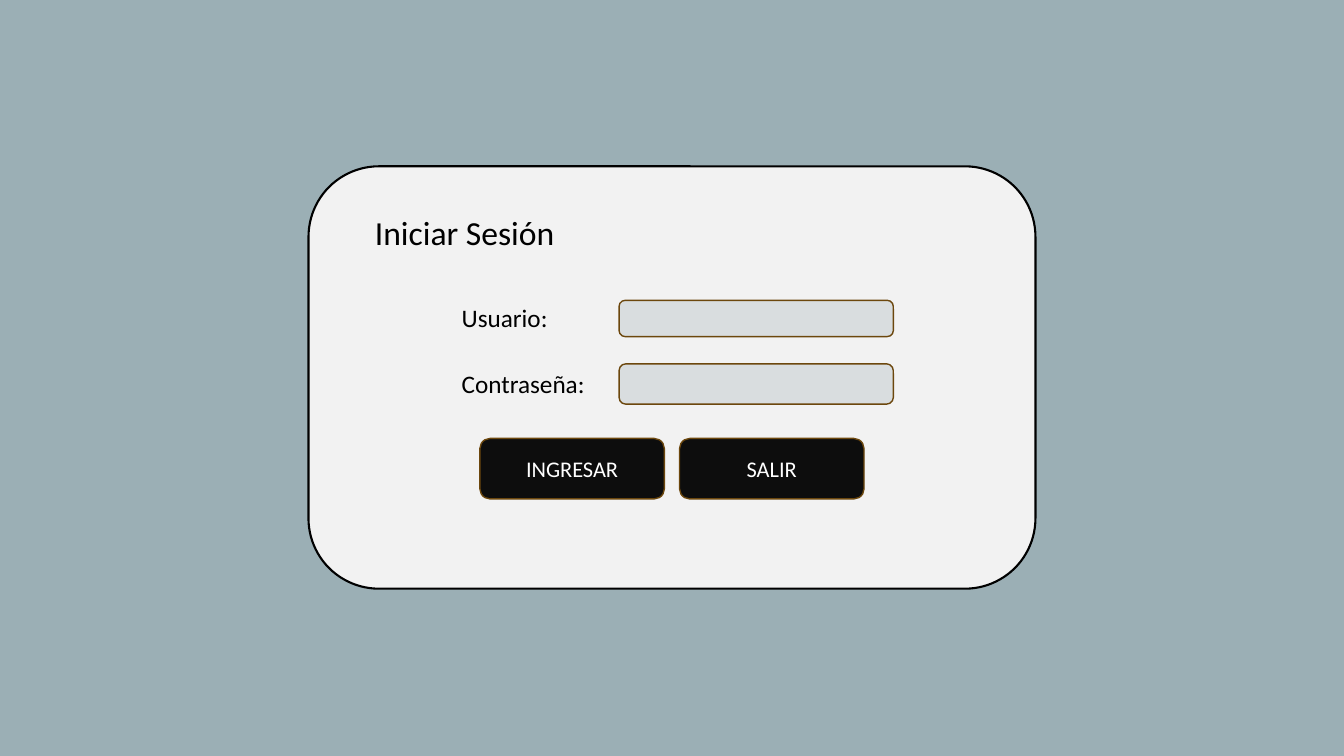
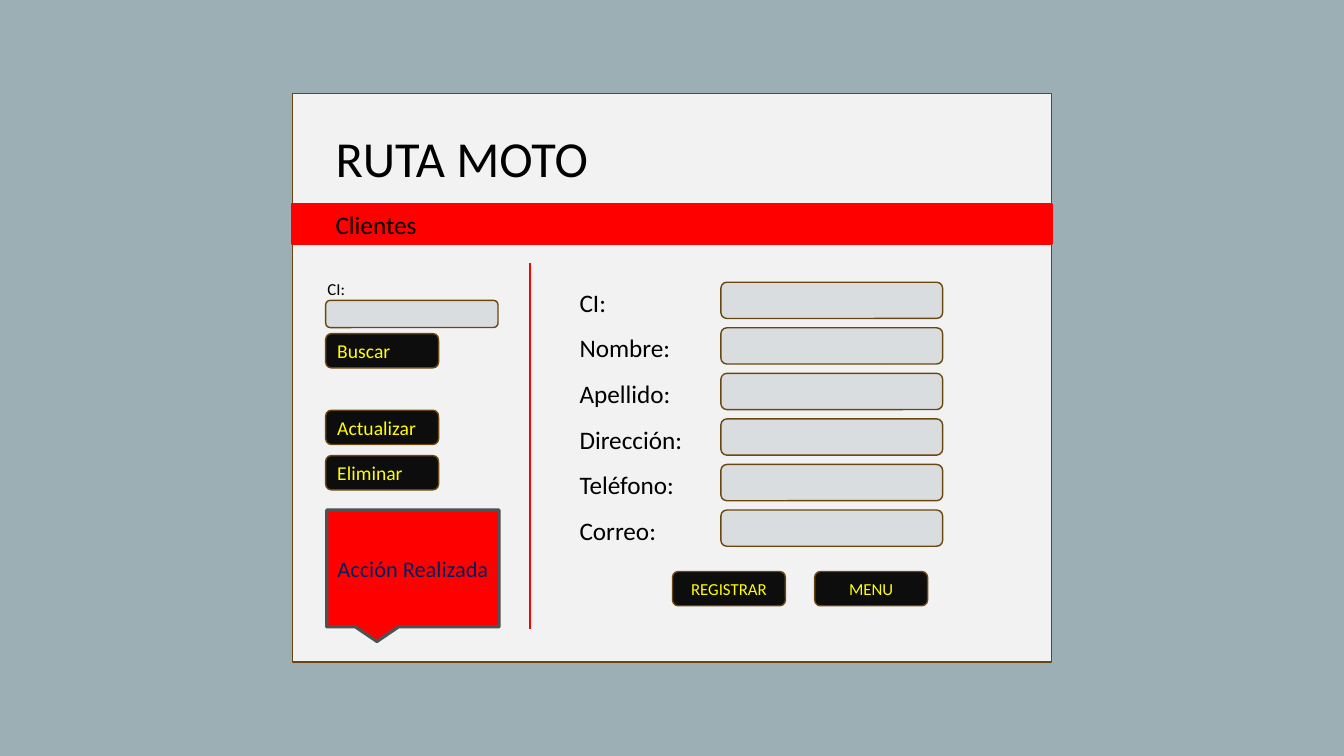
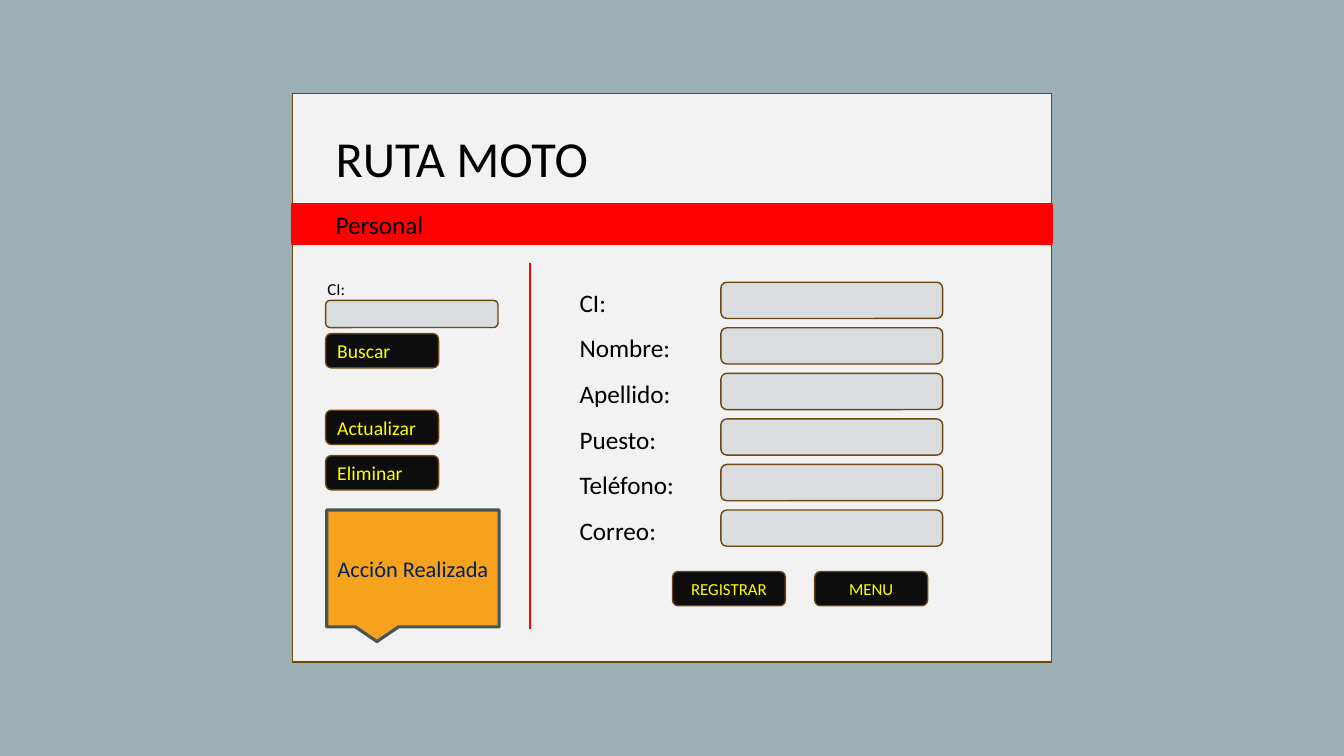
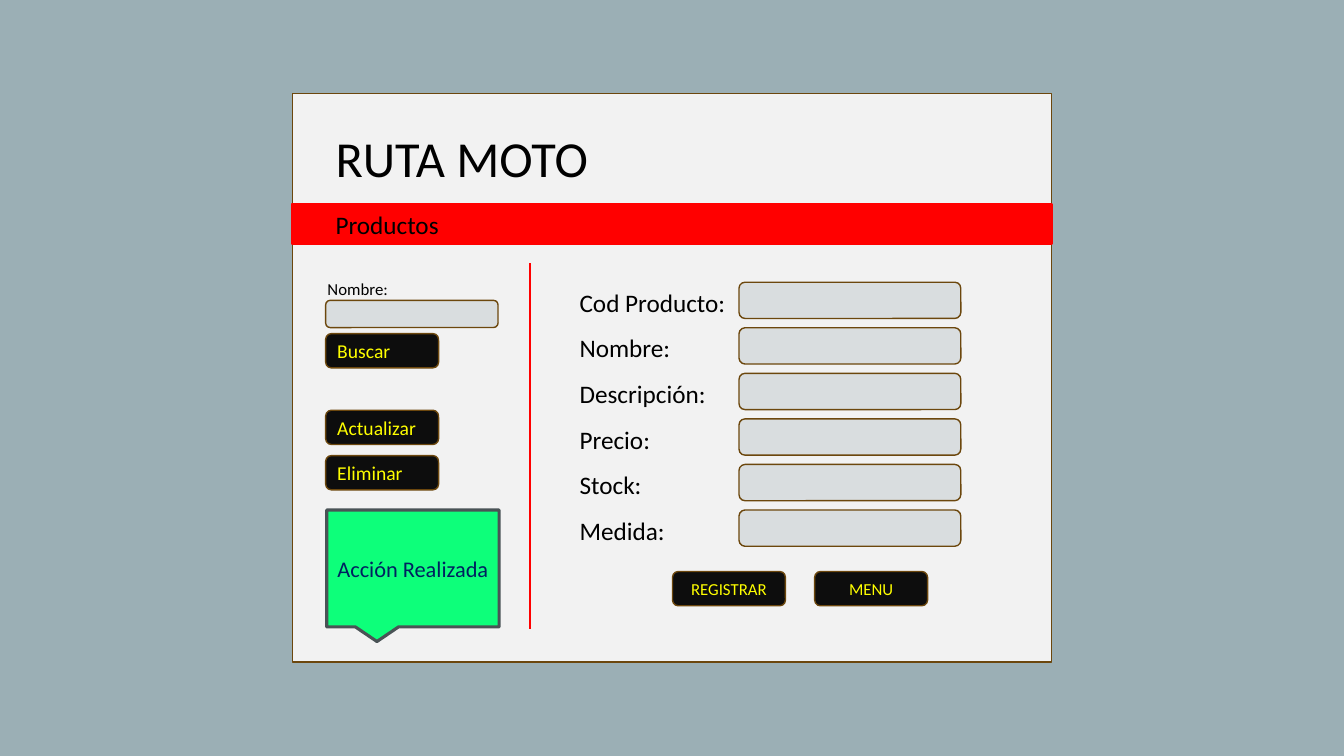
import pptx
import pptx.dml.color
import pptx.enum.shapes
import pptx.enum.text
import pptx.oxml
import pptx.oxml.ns
import pptx.util

Inches = pptx.util.Inches
Pt = pptx.util.Pt
RGBColor = pptx.dml.color.RGBColor
SHAPE = pptx.enum.shapes.MSO_SHAPE
ALIGN = pptx.enum.text.PP_ALIGN

BACKDROP = RGBColor(0x9B, 0xAF, 0xB5)
PANEL = RGBColor(0xF2, 0xF2, 0xF2)
INPUT = RGBColor(0xD9, 0xDD, 0xDF)
BUTTON = RGBColor(0x0D, 0x0D, 0x0D)
BROWN = RGBColor(0x6C, 0x47, 0x0D)
BLACK = RGBColor(0, 0, 0)
WHITE = RGBColor(0xFF, 0xFF, 0xFF)
YELLOW = RGBColor(0xFF, 0xFF, 0)
RED = RGBColor(0xFF, 0, 0)
ORANGE = RGBColor(0xF6, 0xA2, 0x1D)
GREEN = RGBColor(0x0D, 0xFF, 0x7A)
SLATE = RGBColor(0x4A, 0x53, 0x56)
NAVY = RGBColor(0, 0x20, 0x60)

FONT = "Calibri"
STORE_NAME = "RUTA MOTO"
FIRST_ROW, LAST_ROW = 2.8, 5.06

# Section, search label, form labels, left edge of the inputs, message colour
SCREENS = [
    ("Clientes", "CI:",
     ["CI:", "Nombre:", "Apellido:", "Dirección:", "Teléfono:", "Correo:"],
     7.15, RED),
    ("Personal", "CI:",
     ["CI:", "Nombre:", "Apellido:", "Puesto:", "Teléfono:", "Correo:"],
     7.15, ORANGE),
    ("Productos", "Nombre:",
     ["Cod Producto:", "Nombre:", "Descripción:", "Precio:", "Stock:", "Medida:"],
     7.33, GREEN),
]


def write(shape, text, size, color, align):
    shape.text_frame.text = text
    paragraph = shape.text_frame.paragraphs[0]
    paragraph.alignment = align
    font = paragraph.runs[0].font
    font.name = FONT
    font.size = Pt(size)
    font.color.rgb = color


def add_box(slide, kind, left, top, width, height, fill, line=BROWN, weight=1):
    box = slide.shapes.add_shape(
        kind, Inches(left), Inches(top), Inches(width), Inches(height))
    box.shadow.inherit = False
    box.fill.solid()
    box.fill.fore_color.rgb = fill
    box.line.color.rgb = line
    box.line.width = Pt(weight)
    return box


def add_label(slide, text, left, top, width, height=0.4, size=18):
    label = slide.shapes.add_textbox(
        Inches(left), Inches(top), Inches(width), Inches(height))
    label.text_frame.word_wrap = True
    write(label, text, size, BLACK, ALIGN.LEFT)


def add_input(slide, left, top, width, height=0.36):
    add_box(slide, SHAPE.ROUNDED_RECTANGLE, left, top, width, height, INPUT)


def add_button(slide, text, left, top, size, align=ALIGN.CENTER,
               width=1.12, height=0.34, color=YELLOW):
    button = add_box(slide, SHAPE.ROUNDED_RECTANGLE,
                     left, top, width, height, BUTTON)
    write(button, text, size, color, align)


def add_divider(slide, x, top, bottom):
    divider = slide.shapes.add_connector(
        pptx.enum.shapes.MSO_CONNECTOR.STRAIGHT,
        Inches(x), Inches(top), Inches(x), Inches(bottom))
    divider.line.color.rgb = RED
    divider.line.width = Pt(1.5)
    properties = divider._element.spPr
    properties.append(pptx.oxml.parse_xml(
        "<a:effectLst %s/>" % pptx.oxml.ns.nsdecls("a")))


def add_message(slide, fill):
    message = add_box(slide, SHAPE.RECTANGULAR_CALLOUT,
                      3.24, 5.06, 1.71, 1.16, fill, SLATE, 2.25)
    write(message, "Acción Realizada", 16, NAVY, ALIGN.CENTER)


def add_search(slide, search_label):
    add_input(slide, 3.23, 2.98, 1.71, 0.27)
    add_label(slide, search_label, 3.15, 2.72, 1.5, 0.3, 12)
    for text, top in [("Buscar", 3.31), ("Actualizar", 4.07), ("Eliminar", 4.52)]:
        add_button(slide, text, 3.23, top, 14, ALIGN.LEFT)


def add_form(slide, labels, input_left):
    pitch = (LAST_ROW - FIRST_ROW) / (len(labels) - 1)
    for row, text in enumerate(labels):
        top = FIRST_ROW + row * pitch
        add_label(slide, text, 5.65, top, input_left - 5.65)
        add_input(slide, input_left, top, 2.2)
    for text, left in [("REGISTRAR", 6.67), ("MENU", 8.08)]:
        add_button(slide, text, left, 5.67, 12)


def build_login(slide):
    add_box(slide, SHAPE.ROUNDED_RECTANGLE, 3.06, 1.65, 7.21, 4.19,
            PANEL, BLACK, 1.5)
    add_label(slide, "Iniciar Sesión", 3.62, 2.05, 2.06, 0.5, 24)
    for text, label_top, input_top, input_height in [
            ("Usuario:", 2.95, 2.98, 0.36), ("Contraseña:", 3.61, 3.61, 0.4)]:
        add_label(slide, text, 4.48, label_top, 1.49)
        add_input(slide, 6.14, input_top, 2.72, input_height)
    for text, left in [("INGRESAR", 4.76), ("SALIR", 6.74)]:
        add_button(slide, text, left, 4.35, 16,
                   width=1.83, height=0.6, color=WHITE)


def build_screen(slide, section, search_label, labels, input_left, message_fill):
    add_box(slide, SHAPE.RECTANGLE, 2.9, 0.93, 7.53, 5.64, PANEL)
    add_box(slide, SHAPE.RECTANGLE, 2.9, 2.02, 7.53, 0.4, RED, RED, 1.5)
    add_label(slide, STORE_NAME, 3.23, 1.21, 3.44, 0.71, 36)
    add_label(slide, section, 3.23, 2.03, 3.44)
    add_divider(slide, 5.26, 2.61, 6.24)
    add_search(slide, search_label)
    add_form(slide, labels, input_left)
    add_message(slide, message_fill)


def main():
    deck = pptx.Presentation()
    deck.slide_width = Inches(13.33)
    deck.slide_height = Inches(7.5)
    backdrop = deck.slide_master.background.fill
    backdrop.solid()
    backdrop.fore_color.rgb = BACKDROP
    blank = deck.slide_layouts[6]

    build_login(deck.slides.add_slide(blank))
    for screen in SCREENS:
        build_screen(deck.slides.add_slide(blank), *screen)
    deck.save("out.pptx")


if __name__ == "__main__":
    main()
